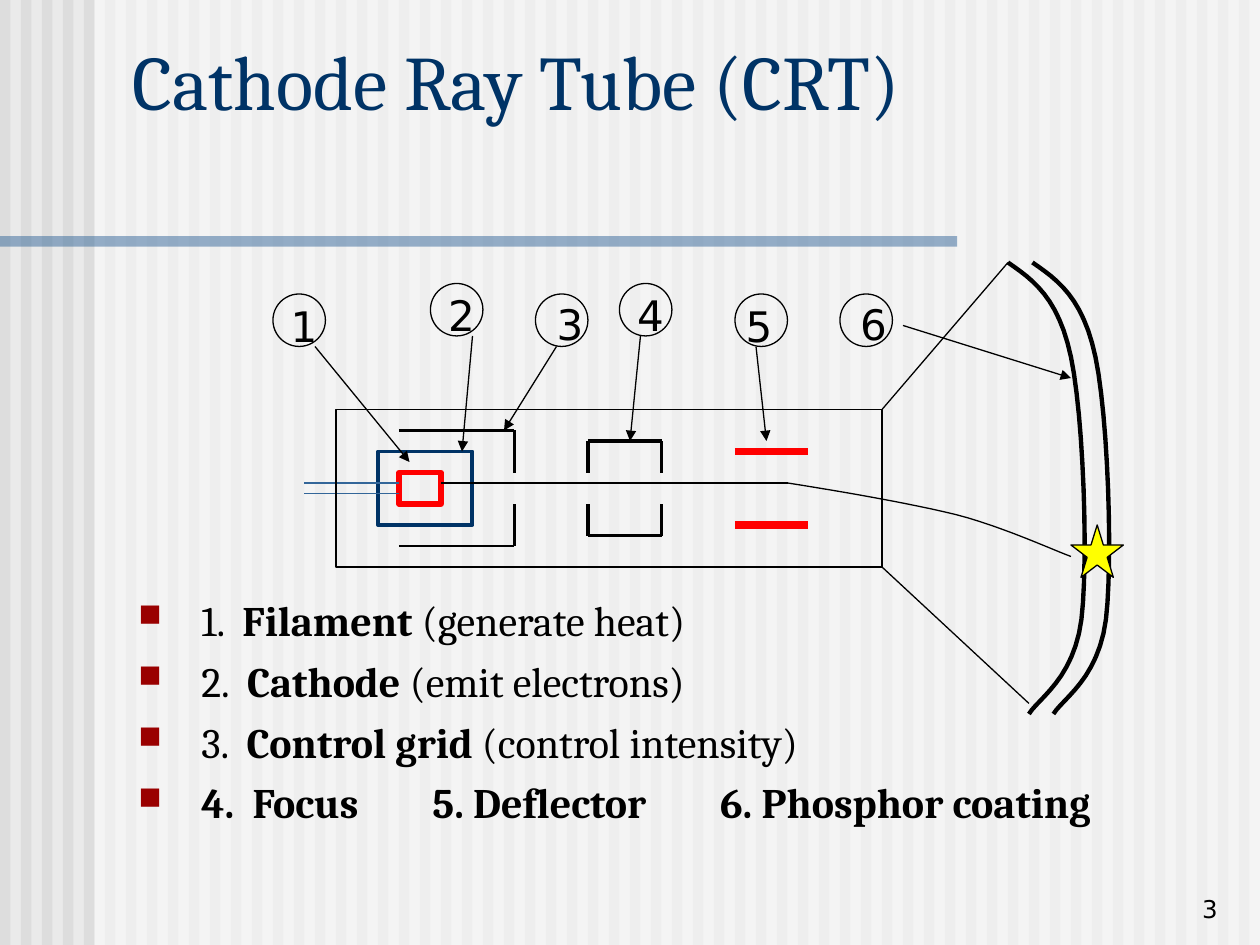
from lxml import etree
from pptx import Presentation
from pptx.dml.color import RGBColor
from pptx.enum.shapes import MSO_CONNECTOR, MSO_SHAPE
from pptx.enum.text import MSO_ANCHOR, MSO_AUTO_SIZE, PP_ALIGN
from pptx.oxml.ns import qn
from pptx.util import Pt

STRAIGHT = MSO_CONNECTOR.STRAIGHT
RECTANGLE, OVAL, STAR = MSO_SHAPE.RECTANGLE, MSO_SHAPE.OVAL, MSO_SHAPE.STAR_5_POINT
TOP, BOTTOM = MSO_ANCHOR.TOP, MSO_ANCHOR.BOTTOM
LEFT, RIGHT = PP_ALIGN.LEFT, PP_ALIGN.RIGHT
FIXED, FIT_SHAPE = MSO_AUTO_SIZE.NONE, MSO_AUTO_SIZE.SHAPE_TO_FIT_TEXT

THEME = {
    "background": "EAEAEA", "stripe": "DDDDDD", "panel": "FFFFFF", "band": "336699",
    "navy": "003366", "black": "000000", "red": "FF0000", "yellow": "FFFF00",
    "bullet": "9A0000", "serif": "Cambria", "sans": "DejaVu Sans",
    "title": 44, "body": 24, "number": 14,
}

TITLE = "Cathode Ray Tube (CRT)"
SLIDE_NUMBER = "3"
# Each paragraph is a list of (text, bold, letter spacing) runs.
WIDE_GAP = (" ", True, 37)
PARTS = [
    [("1.  ", False, 0), ("Filament", True, 0), (" (generate heat)", False, 0)],
    [("2.  ", False, 0), ("Cathode", True, 0), (" (emit electrons)", False, 0)],
    [("3.  ", False, 0), ("Control grid", True, 0), (" (control intensity)", False, 0)],
    [("4.  Focus", True, 0), WIDE_GAP, ("5. Deflector", True, 0), WIDE_GAP,
     ("6. Phosphor coating", True, 0)],
]

# label, circle corner, label offset from the circle, arrow start, arrow end
CALLOUTS = [
    ("1", (156, 168), (3, 0), (180, 198), (234, 264)),
    ("2", (246, 162), (3, 0), (270, 192), (264, 258)),
    ("3", (306, 168), (5, -1), (318, 198), (288, 246)),
    ("4", (354, 162), (3, 0), (366, 192), (360, 252)),
    ("5", (420, 168), (-1, 0), (432, 198), (438, 252)),
    ("6", (480, 168), (4.5, -1), (516, 186), (612, 216)),
]

# Bezier chains: a start point, then two controls and an end for each piece.
SCREEN = [(576, 150), (590.4, 160), (604.8, 170), (612, 204), (619.2, 238), (622, 320),
          (618, 354), (613.5, 388), (593.5, 399), (588, 408)]
DEFLECTED_BEAM = [(450, 276), (484.5, 281.5), (519, 287.5), (546, 294), (573, 301),
                  (601, 314), (612, 318)]
SCREEN_THICKNESS = 14
SLOT_TOP, SLOT_BOTTOM = 270, 288


def colour(name):
    return RGBColor.from_string(THEME[name])


def style(shape, fill=None, line=None, line_width=0.75, alpha=None):
    shape.shadow.inherit = False
    if fill:
        shape.fill.solid()
        shape.fill.fore_color.rgb = colour(fill)
        if alpha:
            target = shape._element.spPr.find(qn("a:solidFill"))[0]
            etree.SubElement(target, qn("a:alpha"), val=str(alpha * 1000))
    else:
        shape.fill.background()
    if line:
        shape.line.color.rgb = colour(line)
        shape.line.width = Pt(line_width)
    else:
        shape.line.fill.background()


def add_figure(slide, kind, left, top, width, height, **look):
    shape = slide.shapes.add_shape(kind, Pt(left), Pt(top), Pt(width), Pt(height))
    style(shape, **look)


def add_line(slide, start, end, line="black", line_width=0.75, arrow=False):
    connector = slide.shapes.add_connector(
        STRAIGHT, Pt(start[0]), Pt(start[1]), Pt(end[0]), Pt(end[1]))
    connector.line.color.rgb = colour(line)
    connector.line.width = Pt(line_width)
    properties = connector._element.spPr
    if arrow:
        etree.SubElement(properties.find(qn("a:ln")), qn("a:tailEnd"), type="triangle")
    etree.SubElement(properties, qn("a:effectLst"))


def add_curve(slide, chain, line_width, shift=0, steps=12):
    """Draw a Bezier chain as an open outline of short segments."""
    points = [chain[0]]
    for first in range(0, len(chain) - 1, 3):
        piece = chain[first:first + 4]
        for step in range(1, steps + 1):
            t = step / steps
            weights = ((1 - t) ** 3, 3 * t * (1 - t) ** 2, 3 * t * t * (1 - t), t ** 3)
            points.append(tuple(sum(w * p[axis] for w, p in zip(weights, piece))
                                for axis in (0, 1)))
    points = [(Pt(x + shift), Pt(y)) for x, y in points]
    builder = slide.shapes.build_freeform(*points[0])
    builder.add_line_segments(points[1:], close=False)
    style(builder.convert_to_shape(), line="black", line_width=line_width)


def add_bullet(paragraph):
    properties = paragraph._p.get_or_add_pPr()
    properties.set("marL", str(Pt(36)))
    properties.set("indent", str(Pt(-36)))
    bullet_colour = etree.SubElement(properties, qn("a:buClr"))
    etree.SubElement(bullet_colour, qn("a:srgbClr"), val=THEME["bullet"])
    etree.SubElement(properties, qn("a:buSzPct"), val="75000")
    etree.SubElement(properties, qn("a:buChar"), char="■")


def write(shape, paragraphs, size, font="serif", ink="black", align=LEFT, anchor=TOP,
          wrap=True, autosize=FIXED, bullets=False, space_before=0):
    frame = shape.text_frame
    frame.word_wrap, frame.auto_size, frame.vertical_anchor = wrap, autosize, anchor
    for index, runs in enumerate(paragraphs):
        paragraph = frame.add_paragraph() if index else frame.paragraphs[0]
        if bullets:
            add_bullet(paragraph)
        paragraph.alignment = align
        paragraph.space_before = Pt(space_before if index else 0)
        for text, bold, spacing in runs:
            run = paragraph.add_run()
            run.text = text
            run.font.name, run.font.size = THEME[font], Pt(THEME[size])
            run.font.bold, run.font.color.rgb = bold, colour(ink)
            if spacing:
                run._r.get_or_add_rPr().set("spc", str(spacing * 100))


def add_text(slide, left, top, width, height, paragraphs, size, **look):
    box = slide.shapes.add_textbox(Pt(left), Pt(top), Pt(width), Pt(height))
    write(box, paragraphs, size, **look)


def add_backdrop(slide):
    slide.background.fill.solid()
    slide.background.fill.fore_color.rgb = colour("background")
    for left in range(0, 720, 12):
        add_figure(slide, RECTANGLE, left, 0, 6, 540, fill="stripe")
    add_figure(slide, RECTANGLE, 54, 0, 666, 540, fill="panel", alpha=50)
    add_figure(slide, RECTANGLE, 0, 135, 547, 6, fill="band", alpha=50)


def add_slotted_plates(slide, left, right, top, bottom, lips, line_width):
    """Two facing plates whose lips leave the slot for the beam."""
    for edge, slot in ((top, SLOT_TOP), (bottom, SLOT_BOTTOM)):
        add_line(slide, (left, edge), (right, edge), line_width=line_width)
        for x in lips:
            add_line(slide, (x, edge), (x, slot), line_width=line_width)


def add_tube(slide):
    add_figure(slide, RECTANGLE, 216, 258, 54, 42, line="navy", line_width=2.25)
    add_figure(slide, RECTANGLE, 228, 270, 24, 18, line="red", line_width=3)
    for y in (276, 282):
        add_line(slide, (228, y), (174, y), line="band")
    add_slotted_plates(slide, 228, 294, 246, 312, lips=[294], line_width=1.5)
    add_slotted_plates(slide, 336, 378, 252, 306, lips=[336, 378], line_width=2.25)
    for y in (258, 300):
        add_line(slide, (420, y), (462, y), line="red", line_width=4.5)
    add_figure(slide, RECTANGLE, 192, 234, 312, 90, line="black")
    add_line(slide, (504, 234), (576, 150))
    add_line(slide, (504, 324), (588, 402))
    for shift in (0, SCREEN_THICKNESS):
        add_curve(slide, SCREEN, 2.5, shift)


def add_callouts(slide):
    for label, (left, top), (dx, dy), start, end in CALLOUTS:
        add_line(slide, start, end, arrow=True)
        add_text(slide, left + dx, top + dy, 28, 36, [[(label, False, 0)]], "body",
                 font="sans", wrap=False, autosize=FIT_SHAPE)
        add_figure(slide, OVAL, left, top, 30, 30, line="black")


def add_beam(slide):
    add_line(slide, (252, 276), (450, 276), line_width=1.5)
    add_figure(slide, STAR, 612, 300, 30, 30, fill="yellow", line="black")
    add_curve(slide, DEFLECTED_BEAM, 0.75)


def main():
    presentation = Presentation()
    presentation.slide_width, presentation.slide_height = Pt(720), Pt(540)
    slide = presentation.slides.add_slide(presentation.slide_layouts[5])
    add_backdrop(slide)

    title = slide.shapes.title
    title.left, title.top, title.width, title.height = Pt(68.5), Pt(15), Pt(643), Pt(60.5)
    write(title, [[(TITLE, False, 0)]], "title", ink="navy", anchor=BOTTOM)
    title._element.getparent().append(title._element)  # bring above the backdrop

    add_text(slide, 553, 495.5, 150, 36, [[(SLIDE_NUMBER, False, 0)]], "number",
             font="sans", align=RIGHT, anchor=BOTTOM)
    add_tube(slide)
    add_callouts(slide)
    add_beam(slide)
    add_text(slide, 72, 336, 585, 204, PARTS, "body", bullets=True, space_before=6)
    presentation.save("out.pptx")


if __name__ == "__main__":
    main()
